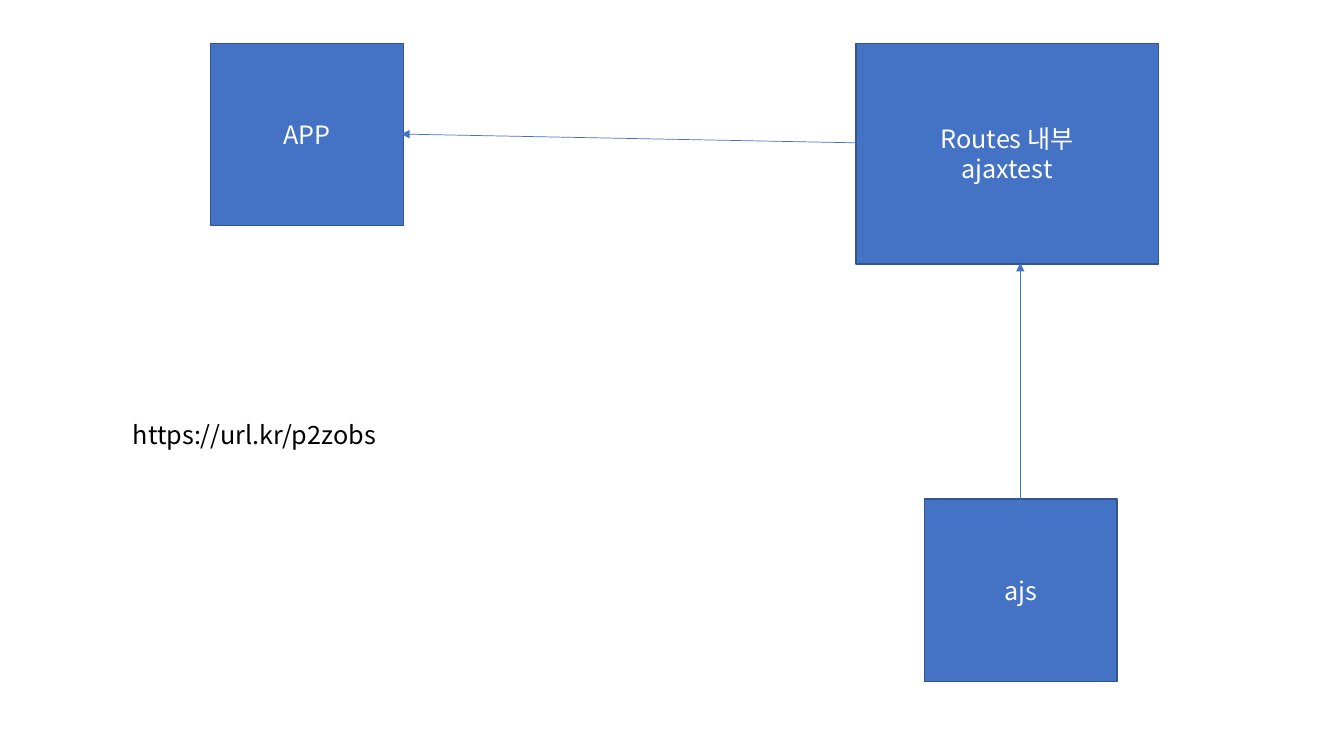
from pptx import Presentation
from pptx.dml.color import RGBColor
from pptx.enum.shapes import MSO_CONNECTOR, MSO_SHAPE
from pptx.enum.text import MSO_ANCHOR, MSO_AUTO_SIZE, PP_ALIGN
from pptx.oxml.ns import qn
from pptx.util import Inches, Pt
from lxml import etree

RECT = MSO_SHAPE.RECTANGLE
STRAIGHT = MSO_CONNECTOR.STRAIGHT
MIDDLE = MSO_ANCHOR.MIDDLE
CENTER, LEFT = PP_ALIGN.CENTER, PP_ALIGN.LEFT
GROW = MSO_AUTO_SIZE.SHAPE_TO_FIT_TEXT


def rgb(color):
    return RGBColor.from_string(color)


class Diagram:
    font = "Noto Sans CJK KR"
    size = 18
    blue, border = "4472C4", "325491"
    white, black = "FFFFFF", "000000"

    def __init__(self, slide):
        self.s = slide

    def set_text(self, tf, lines, color, align):
        tf.word_wrap = True
        tf.text = "\n".join(lines)
        for p in tf.paragraphs:
            p.alignment = align
            p.font.name = self.font
            p.font.size = Pt(self.size)
            p.font.color.rgb = rgb(color)
            for r in p.runs:
                # Korean glyphs take the East Asian typeface
                ea = etree.SubElement(r._r.get_or_add_rPr(), qn("a:ea"))
                ea.set("typeface", self.font)

    def box(self, x, y, w, h, *lines):
        sp = self.s.shapes.add_shape(RECT, Inches(x), Inches(y), Inches(w), Inches(h))
        sp.shadow.inherit = False
        sp.fill.solid()
        sp.fill.fore_color.rgb = rgb(self.blue)
        sp.line.color.rgb = rgb(self.border)
        sp.line.width = Pt(1)
        sp.text_frame.vertical_anchor = MIDDLE
        self.set_text(sp.text_frame, lines, self.white, CENTER)

    def label(self, x, y, w, h, text):
        tf = self.s.shapes.add_textbox(Inches(x), Inches(y), Inches(w), Inches(h)).text_frame
        self.set_text(tf, [text], self.black, LEFT)
        tf.auto_size = GROW

    def arrow(self, x1, y1, x2, y2):
        cxn = self.s.shapes.add_connector(
            STRAIGHT, Inches(x1), Inches(y1), Inches(x2), Inches(y2))
        cxn.line.color.rgb = rgb(self.blue)
        cxn.line.width = Pt(0.5)
        sp_pr = cxn._element.spPr
        etree.SubElement(sp_pr.find(qn("a:ln")), qn("a:tailEnd")).set("type", "triangle")
        etree.SubElement(sp_pr, qn("a:effectLst"))


def main():
    prs = Presentation()
    prs.slide_width, prs.slide_height = Inches(13.33), Inches(7.5)
    d = Diagram(prs.slides.add_slide(prs.slide_layouts[6]))

    small = (1.91, 1.81)
    d.box(2.09, 0.43, *small, "APP")
    d.box(8.49, 0.43, 3, 2.19, "Routes 내부", "ajaxtest")
    d.arrow(9.17, 1.43, 3.98, 1.33)
    d.label(1.22, 4.11, 6.66, 0.4, "https://url.kr/p2zobs")
    d.box(9.17, 4.95, *small, "ajs")
    d.arrow(10.12, 5.32, 10.12, 2.61)

    prs.save("out.pptx")


if __name__ == "__main__":
    main()
